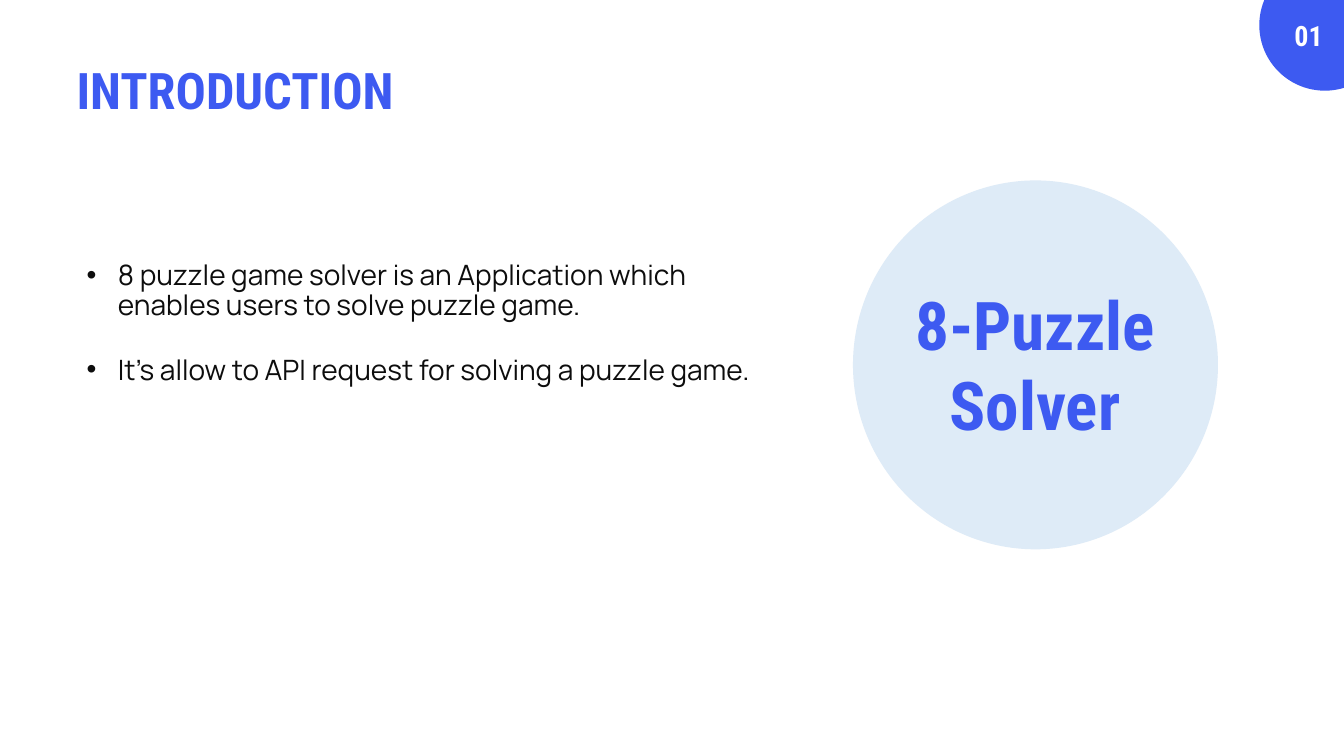
"""Build the introduction slide of the 8-puzzle solver deck."""
from lxml.etree import SubElement
from pptx import Presentation
from pptx.dml.color import RGBColor
from pptx.enum.shapes import MSO_SHAPE
from pptx.enum.text import MSO_ANCHOR, MSO_AUTO_SIZE, PP_ALIGN
from pptx.oxml.ns import qn
from pptx.util import Inches, Pt

HUES = {"blue": "3D5AF1", "pale": "DEEBF7", "ink": "0D0D0D", "white": "FFFFFF"}
HEAD, BODY = "Roboto Condensed", "Manrope"


def place(shape, box):
    shape.left, shape.top, shape.width, shape.height = map(Inches, box)
    frame = shape.text_frame
    frame.word_wrap = True
    frame.auto_size = MSO_AUTO_SIZE.NONE
    frame.vertical_anchor = MSO_ANCHOR.TOP
    return frame


def write(para, text, size, face, hue, bold=True, align=PP_ALIGN.LEFT):
    para.alignment = align
    run = para.add_run()
    run.text = text
    font = run.font
    font.size, font.name, font.bold = Pt(size), face, bold
    font.color.rgb = RGBColor.from_string(HUES[hue])


deck = Presentation()
deck.slide_width, deck.slide_height = Inches(13.33), Inches(7.5)
slide = deck.slides.add_slide(deck.slide_layouts[1])
shapes = slide.shapes

title = place(shapes.title, (0.66, 0.54, 4.97, 0.71))
write(title.paragraphs[0], "INTRODUCTION", 36, HEAD, "blue")

discs = [
    ((12.49, -0.4, 1.3, 1.3), "blue", (12.74, 0.13, 0.51, 0.44),
     "01", 20, "white", PP_ALIGN.LEFT),
    ((8.46, 1.79, 3.62, 3.66), "pale", (8.73, 2.76, 3.07, 1.72),
     "8-Puzzle Solver", 48, "blue", PP_ALIGN.CENTER),
]
for ring, fill, box, text, size, hue, align in discs:
    disc = shapes.add_shape(MSO_SHAPE.OVAL, *map(Inches, ring))
    disc.shadow.inherit = False
    disc.fill.solid()
    disc.fill.fore_color.rgb = RGBColor.from_string(HUES[fill])
    disc.line.fill.background()
    label = place(shapes.add_textbox(0, 0, 0, 0), box)
    write(label.paragraphs[0], text, size, HEAD, hue, align=align)

points = [
    "8 puzzle game solver is an Application which enables users to solve puzzle game.",
    "It’s allow to API request for solving a puzzle game.",
]
body = place(slide.placeholders[1], (0.76, 2.54, 7.15, 1.78))
for row, text in enumerate(points):
    para = body.add_paragraph() if row else body.paragraphs[0]
    para.line_spacing = 0.9
    para.space_before = Pt(24.5 * row)
    write(para, text, 20, BODY, "ink", bold=False)
    props = para._p.get_or_add_pPr()
    props.set("marL", str(Inches(0.31)))
    props.set("indent", str(-Inches(0.31)))
    SubElement(props, qn("a:buFont")).set("typeface", "Arial")
    SubElement(props, qn("a:buChar")).set("char", "•")

deck.save("out.pptx")
